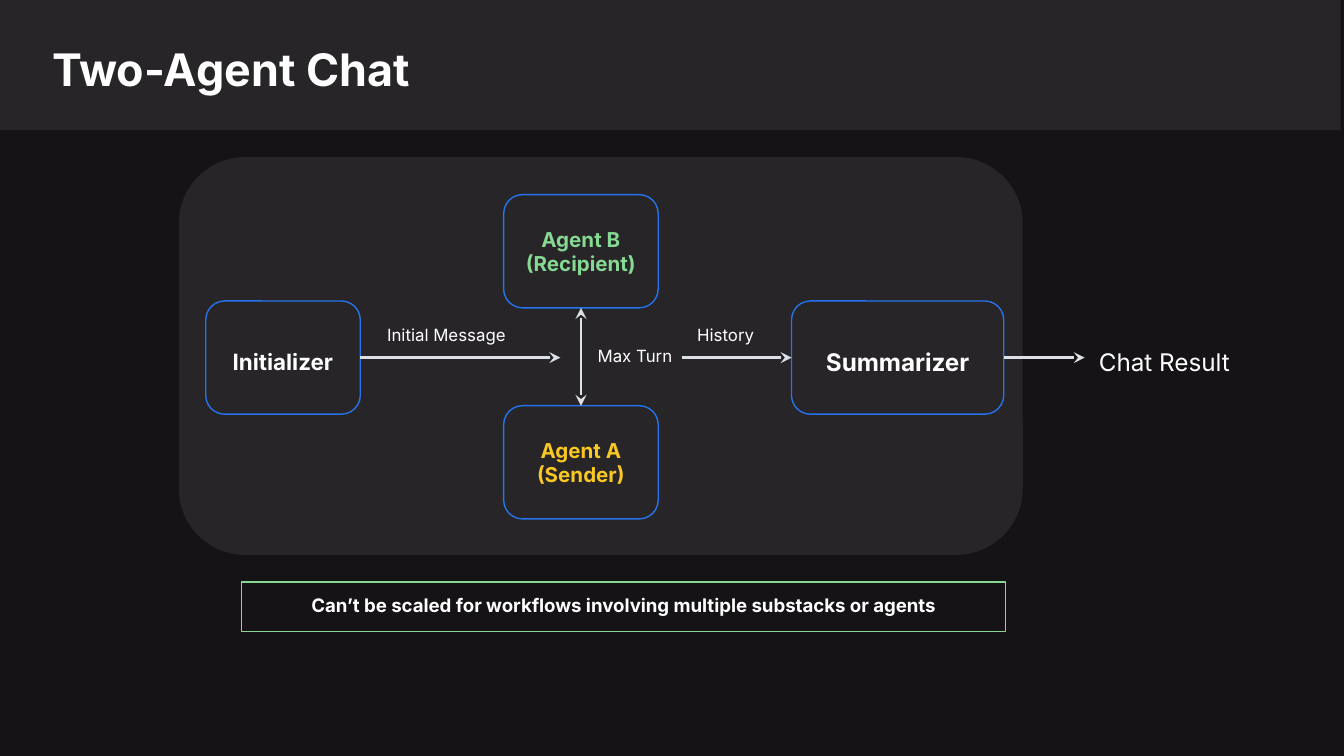
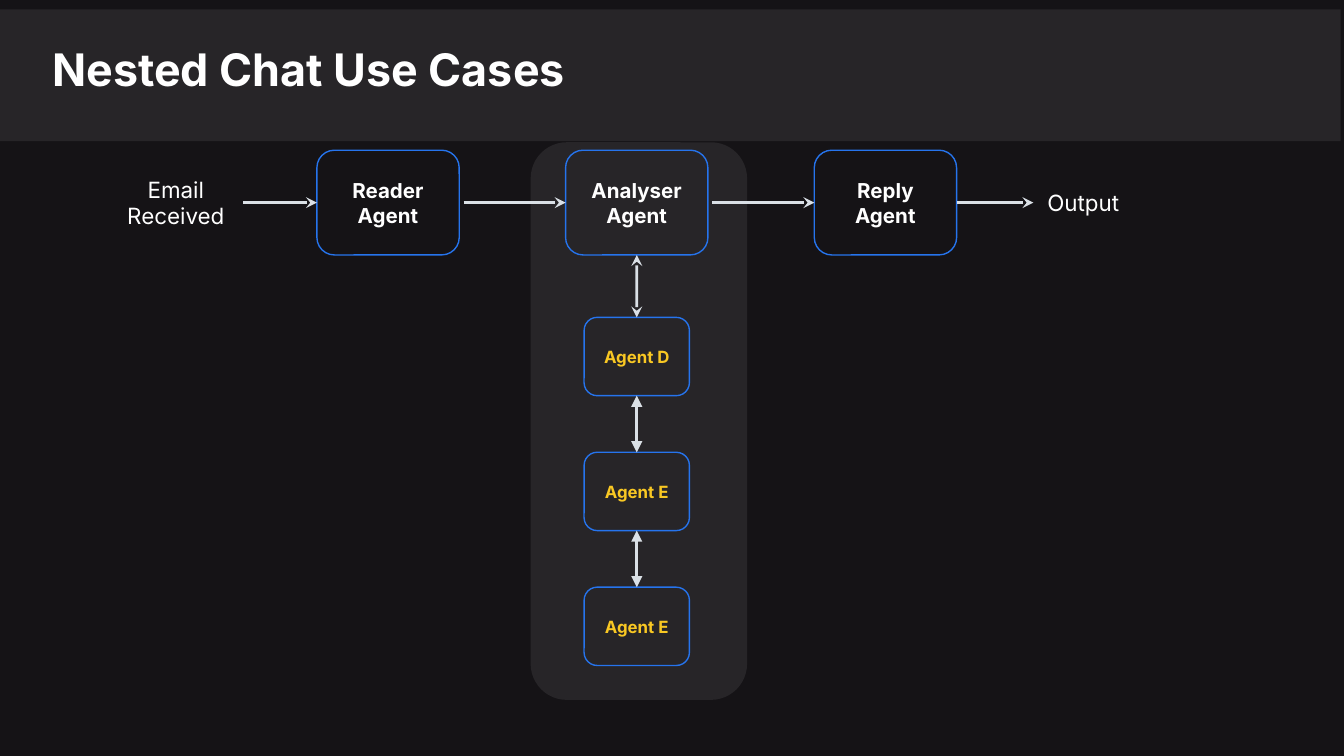
from dataclasses import dataclass
from typing import Any, Optional, Union

import lxml.etree
import pptx
import pptx.dml.color
import pptx.enum.shapes
import pptx.enum.text
import pptx.oxml.ns
import pptx.shapes.autoshape
import pptx.slide
import pptx.util

Cm = pptx.util.Cm
Pt = pptx.util.Pt
RGB = pptx.dml.color.RGBColor
Preset = pptx.enum.shapes.MSO_SHAPE
Align = pptx.enum.text.PP_ALIGN
Anchor = pptx.enum.text.MSO_ANCHOR
Shape = pptx.shapes.autoshape.Shape
Slide = pptx.slide.Slide

TOP, LEFT, BOTTOM, RIGHT = range(4)  # connection sites


@dataclass(frozen=True)
class Theme:
    font: str = "Inter"
    background: str = "151316"
    panel: str = "272528"
    white: str = "FFFFFF"
    blue: str = "2674ED"
    green: str = "85D992"
    yellow: str = "F9C823"
    arrow: str = "DAE0E6"
    title: float = 24
    large: float = 13
    medium: float = 12
    agent: float = 11
    note: float = 10
    small: float = 9
    outline: float = 0.75
    arrow_width: float = 1.5
    pad: float = 0.25


THEME = Theme()


@dataclass(frozen=True)
class Box:
    """A shape with optional text; lengths are centimetres."""
    x: float
    y: float
    w: float
    h: float
    text: str = ""
    size: float = THEME.agent
    color: str = THEME.white
    bold: bool = True
    line: Optional[str] = THEME.blue
    fill: Optional[str] = None
    preset: Any = Preset.ROUNDED_RECTANGLE
    drop: float = 0  # how far the text sits below the middle
    side: float = THEME.pad


@dataclass(frozen=True)
class Joint:
    """The middle of one side of a shape."""
    sp: Shape
    site: int


@dataclass(frozen=True)
class Point:
    x: float
    y: float


End = Union[Joint, Point]


# Helpers
def apply(target: Any, values: dict[str, Any]) -> None:
    for name, value in values.items():
        setattr(target, name, value)


def write(sp: Any, text: str, size: float, color: str, bold: bool, align: Any,
          frame: dict[str, Any]) -> None:
    tf = sp.text_frame
    apply(tf, {"word_wrap": True, "auto_size": pptx.enum.text.MSO_AUTO_SIZE.NONE, **frame})
    for i, line in enumerate(text.split("\n")):
        p = tf.paragraphs[0] if i == 0 else tf.add_paragraph()
        p.alignment = align
        r = p.add_run()
        r.text = line
        apply(r.font, {"name": THEME.font, "size": Pt(size), "bold": bold})
        r.font.color.rgb = RGB.from_string(color)


def add_box(slide: Slide, box: Box) -> Shape:
    sp = slide.shapes.add_shape(box.preset, Cm(box.x), Cm(box.y), Cm(box.w), Cm(box.h))
    sp.shadow.inherit = False
    if box.fill:
        sp.fill.solid()
        sp.fill.fore_color.rgb = RGB.from_string(box.fill)
    else:
        sp.fill.background()
    if box.line:
        sp.line.color.rgb = RGB.from_string(box.line)
        sp.line.width = Pt(THEME.outline)
    else:
        sp.line.fill.background()
    if box.text:
        write(sp, box.text, box.size, box.color, box.bold, Align.CENTER, {
            "vertical_anchor": Anchor.MIDDLE,
            "margin_left": Cm(box.side), "margin_right": Cm(box.side),
            "margin_top": Cm(THEME.pad + box.drop),
            "margin_bottom": Cm(THEME.pad - box.drop),
        })
    return sp


def add_label(slide: Slide, x: float, y: float, w: float, h: float, text: str,
              size: float, drop: float, side: float = THEME.pad) -> Shape:
    return add_box(slide, Box(x, y, w, h, text, size, bold=False, line=None,
                              drop=drop, side=side))


def add_panel(slide: Slide, x: float, y: float, w: float, h: float,
              preset: Any = Preset.ROUNDED_RECTANGLE) -> Shape:
    return add_box(slide, Box(x, y, w, h, line=None, fill=THEME.panel, preset=preset))


def add_arrow(slide: Slide, start: End, end: End, both: bool = False,
              tip: str = "stealth") -> None:
    spots = [Point(0, 0) if isinstance(e, Joint) else e for e in (start, end)]
    cxn = slide.shapes.add_connector(
        pptx.enum.shapes.MSO_CONNECTOR.STRAIGHT,
        *(Cm(v) for spot in spots for v in (spot.x, spot.y)))
    if isinstance(start, Joint):
        cxn.begin_connect(start.sp, start.site)
    if isinstance(end, Joint):
        cxn.end_connect(end.sp, end.site)
    cxn.line.color.rgb = RGB.from_string(THEME.arrow)
    cxn.line.width = Pt(THEME.arrow_width)
    # Arrowheads and no shadow
    qn = pptx.oxml.ns.qn
    sp_pr = cxn.element.spPr
    ln = sp_pr.find(qn("a:ln"))
    for tag in (["a:headEnd"] if both else []) + ["a:tailEnd"]:
        lxml.etree.SubElement(ln, qn(tag)).set("type", tip)
    lxml.etree.SubElement(sp_pr, qn("a:effectLst"))


def add_heading(slide: Slide, text: str, band_top: float) -> None:
    add_panel(slide, 0, band_top, 25.34, 2.49, Preset.RECTANGLE)
    title = slide.shapes.title
    title.element.getparent().append(title.element)  # in front of the band
    apply(title, {"left": Cm(0.74), "top": Cm(0.53), "width": Cm(22.2), "height": Cm(1.47)})
    margins = {f"margin_{side}": Cm(THEME.pad) for side in ("left", "top", "right", "bottom")}
    write(title, text, THEME.title, THEME.white, True, Align.LEFT,
          {"vertical_anchor": Anchor.TOP, **margins})


# Slide 1
def two_agent_chat(slide: Slide) -> None:
    add_heading(slide, "Two-Agent Chat", -0.03)
    add_panel(slide, 3.38, 2.97, 15.95, 7.52)

    row, w, h = 5.69, 2.92, 2.14
    middle = row + h / 2
    initializer = add_box(slide, Box(3.89, row, w, h, "Initializer", THEME.medium, drop=0.08))
    recipient, sender = (
        add_box(slide, Box(9.52, y, w, h, text, color=color))
        for y, text, color in ((3.68, "Agent B\n(Recipient)", THEME.green),
                               (7.67, "Agent A\n(Sender)", THEME.yellow)))
    summarizer = add_box(slide, Box(14.96, row, 4.01, h, "Summarizer", THEME.large, drop=0.08))

    add_arrow(slide, Joint(initializer, RIGHT), Point(10.59, middle))
    add_arrow(slide, Joint(recipient, BOTTOM), Joint(sender, TOP), both=True)
    add_arrow(slide, Point(12.88, middle), Joint(summarizer, LEFT))
    add_arrow(slide, Joint(summarizer, RIGHT), Point(20.5, middle))

    add_label(slide, 20.0, row, 4.01, h, "Chat Result", THEME.large, 0.08)
    add_label(slide, 10.54, 6.12, w, 1.09, "Max Turn", THEME.small, 0.06)
    for x, text in ((6.81, "Initial Message"), (12.09, "History")):
        add_label(slide, x, 5.54, 3.25, 1.09, text, THEME.small, 0.25)

    add_box(slide, Box(4.57, 11.0, 14.43, 0.94,
                       "Can’t be scaled for workflows involving multiple substacks or agents",
                       THEME.note, line=THEME.green, preset=Preset.RECTANGLE, drop=-0.03))


# Slide 2
def nested_chat(slide: Slide) -> None:
    add_panel(slide, 10.03, 2.69, 4.09, 10.54)
    add_heading(slide, "Nested Chat Use Cases", 0.18)

    # Main flow
    left, row, w, h, step, gap = 5.99, 2.84, 2.69, 1.98, 4.7, 0.08
    middle = row + h / 2
    flow = [add_box(slide, Box(left + i * step, row, w, h, f"{name} Agent"))
            for i, name in enumerate(("Reader", "Analyser", "Reply"))]
    add_arrow(slide, Point(4.6, middle), Joint(flow[0], LEFT))
    for i, target in enumerate(flow[1:]):
        add_arrow(slide, Point(left + i * step + w + gap, middle), Joint(target, LEFT))
    add_arrow(slide, Joint(flow[-1], RIGHT), Point(19.53, middle))
    for x, text, side in ((1.47, "Email Received", 0.5), (18.62, "Output", THEME.pad)):
        add_label(slide, x, 2.77, 3.71, h, text, THEME.medium, 0.07, side)

    # Nested agents below the analyser
    above = flow[1]
    for i, name in enumerate(("Agent D", "Agent E", "Agent E")):
        agent = add_box(slide, Box(11.04, 6.0 + i * 2.55, 1.99, 1.48, name,
                                   THEME.small, THEME.yellow))
        add_arrow(slide, Joint(above, BOTTOM), Joint(agent, TOP), both=True,
                  tip="triangle" if i else "stealth")
        above = agent


def main() -> None:
    prs = pptx.Presentation()
    apply(prs, {"slide_width": Cm(25.4), "slide_height": Cm(14.29)})
    fill = prs.slide_master.background.fill
    fill.solid()
    fill.fore_color.rgb = RGB.from_string(THEME.background)
    for draw in (two_agent_chat, nested_chat):
        draw(prs.slides.add_slide(prs.slide_layouts[5]))
    prs.save("out.pptx")


if __name__ == "__main__":
    main()
